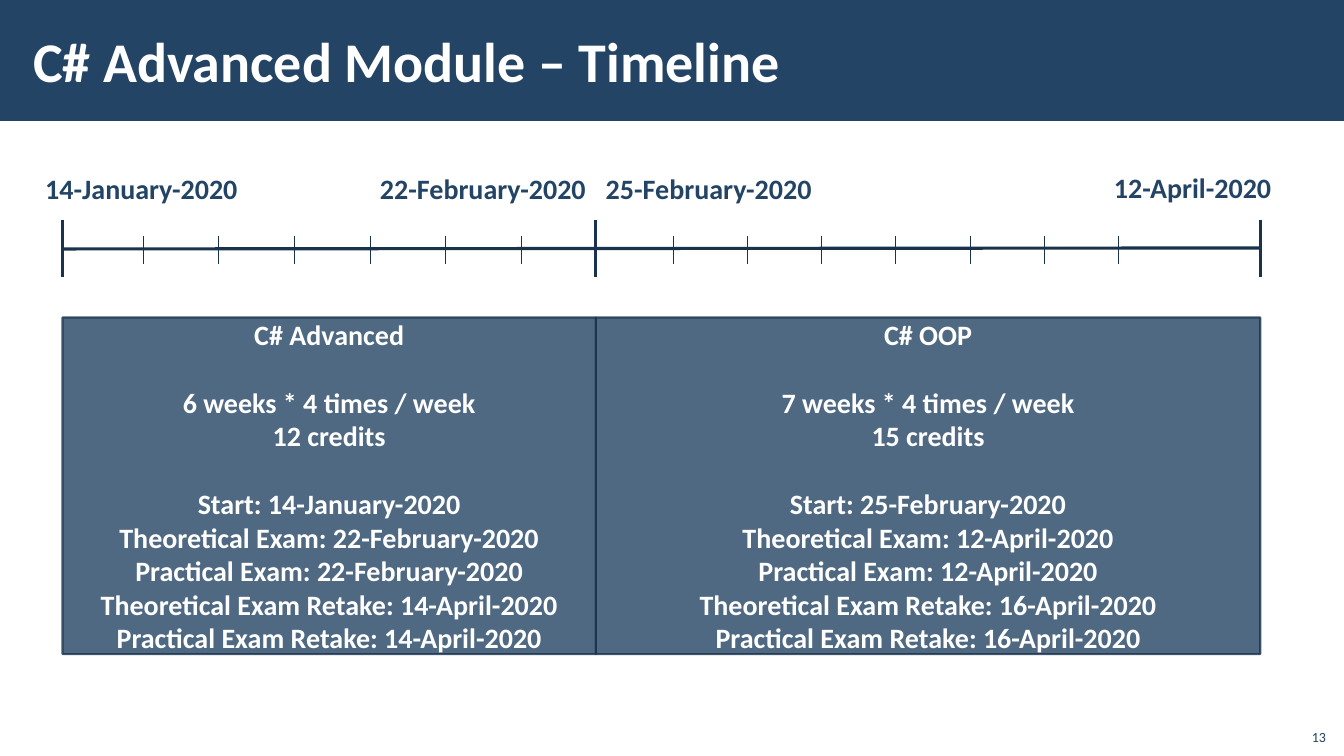
from lxml import etree
from pptx import Presentation
from pptx.dml.color import RGBColor
from pptx.enum.shapes import MSO_CONNECTOR as CONN, MSO_SHAPE as SHAPE
from pptx.enum.text import MSO_ANCHOR as ANCHOR, PP_ALIGN as ALIGN
from pptx.oxml.ns import qn
from pptx.util import Pt

# Content
TITLE = "C# Advanced Module – Timeline"
PAGE = "13"
DATES = [  # text, left, top, width
    ("14-January-2020", 35, 165, 213),
    ("22-February-2020", 367, 165, 241),
    ("25-February-2020", 591, 165, 227),
    ("12-April-2020", 1095, 164, 181),
]
COURSES = [  # each inner list is a group of lines
    [["C# Advanced"],
     ["6 weeks * 4 times / week", "12 credits"],
     ["Start: 14-January-2020",
      "Theoretical Exam: 22-February-2020",
      "Practical Exam: 22-February-2020",
      "Theoretical Exam Retake: 14-April-2020",
      "Practical Exam Retake: 14-April-2020"]],
    [["C# OOP"],
     ["7 weeks * 4 times / week", "15 credits"],
     ["Start: 25-February-2020",
      "Theoretical Exam: 12-April-2020",
      "Practical Exam: 12-April-2020",
      "Theoretical Exam Retake: 16-April-2020",
      "Practical Exam Retake: 16-April-2020"]],
]

# Geometry in px, 100 to the inch
PX = 9144
WIDTH, HEIGHT = 1333, 750
BOUNDS = [62, 591, 1250]  # start, change of course, end
CARD_TOP, CARD_HEIGHT = 315, 334
WEEKS = [(142, 75, 6), (668, 73.5, 7)]  # first tick, step, count

THEME = {
    "font": "Calibri",
    "navy": RGBColor.from_string("234465"),
    "edge": RGBColor.from_string("1A334C"),
    "white": RGBColor.from_string("FFFFFF"),
    "title": 40, "body": 20, "page": 10,
    "group_gap": 24.4,
    "bold_line": 2.25, "card_line": 1.5, "thin_line": 0.5,
    "opacity": 80,
}


def px(*values):
    return [round(v * PX) for v in values]


def write(sp, groups, size=THEME["body"], color=THEME["navy"], bold=True,
          align=ALIGN.LEFT, anchor=ANCHOR.TOP, inset=(10, 5)):
    tf = sp.text_frame
    tf.word_wrap = True
    tf.vertical_anchor = anchor
    tf.margin_left, tf.margin_top = tf.margin_right, tf.margin_bottom = px(*inset)
    p = tf.paragraphs[0]
    for g, lines in enumerate(groups):
        for i, line in enumerate(lines):
            if g or i:
                p = tf.add_paragraph()
            if g and i == 0:
                p.space_before = Pt(THEME["group_gap"])
            p.alignment = align
            r = p.add_run()
            r.text = line
            r.font.name, r.font.size, r.font.bold = THEME["font"], Pt(size), bold
            r.font.color.rgb = color


def add_box(slide, *box):
    sp = slide.shapes.add_shape(SHAPE.RECTANGLE, *px(*box))
    sp.shadow.inherit = False
    sp.fill.solid()
    sp.fill.fore_color.rgb = THEME["navy"]
    return sp


def add_line(slide, x1, y1, x2, y2, width):
    line = slide.shapes.add_connector(CONN.STRAIGHT, *px(x1, y1, x2, y2))
    line.line.color.rgb = THEME["edge"]
    line.line.width = Pt(width)
    etree.SubElement(line._element.spPr, qn("a:effectLst"))


def make_translucent(sp):
    for color in sp._element.spPr.iter(qn("a:srgbClr")):
        etree.SubElement(color, qn("a:alpha"), val=str(THEME["opacity"] * 1000))


def main():
    prs = Presentation()
    prs.slide_width, prs.slide_height = px(WIDTH, HEIGHT)
    slide = prs.slides.add_slide(prs.slide_layouts[6])

    # Title band
    add_box(slide, 0, 0, WIDTH, 120).line.fill.background()
    title = slide.shapes.add_textbox(*px(21, 11, 1063, 97))
    write(title, [[TITLE]], size=THEME["title"], color=THEME["white"],
          anchor=ANCHOR.MIDDLE, inset=(12, 4))

    # Dates
    for text, *place in DATES:
        write(slide.shapes.add_textbox(*px(*place, 44)), [[text]])

    # Course cards
    for left, right, groups in zip(BOUNDS, BOUNDS[1:], COURSES):
        card = add_box(slide, left, CARD_TOP, right - left, CARD_HEIGHT)
        card.line.color.rgb = THEME["edge"]
        card.line.width = Pt(THEME["card_line"])
        make_translucent(card)
        write(card, groups, color=THEME["white"], align=ALIGN.CENTER,
              anchor=ANCHOR.MIDDLE)

    # Timeline axis, bounds and week ticks
    add_line(slide, BOUNDS[0], 247, BOUNDS[-1], 246, THEME["bold_line"])
    for x in BOUNDS:
        add_line(slide, x, 218, x, 275, THEME["bold_line"])
    for first, step, count in WEEKS:
        for i in range(count):
            x = first + i * step
            add_line(slide, x, 234, x, 262, THEME["thin_line"])

    # Page number
    page = slide.shapes.add_textbox(*px(1285, 712, 40, 32))
    write(page, [[PAGE]], size=THEME["page"], bold=False,
          align=ALIGN.RIGHT, anchor=ANCHOR.BOTTOM)

    prs.save("out.pptx")


if __name__ == "__main__":
    main()
